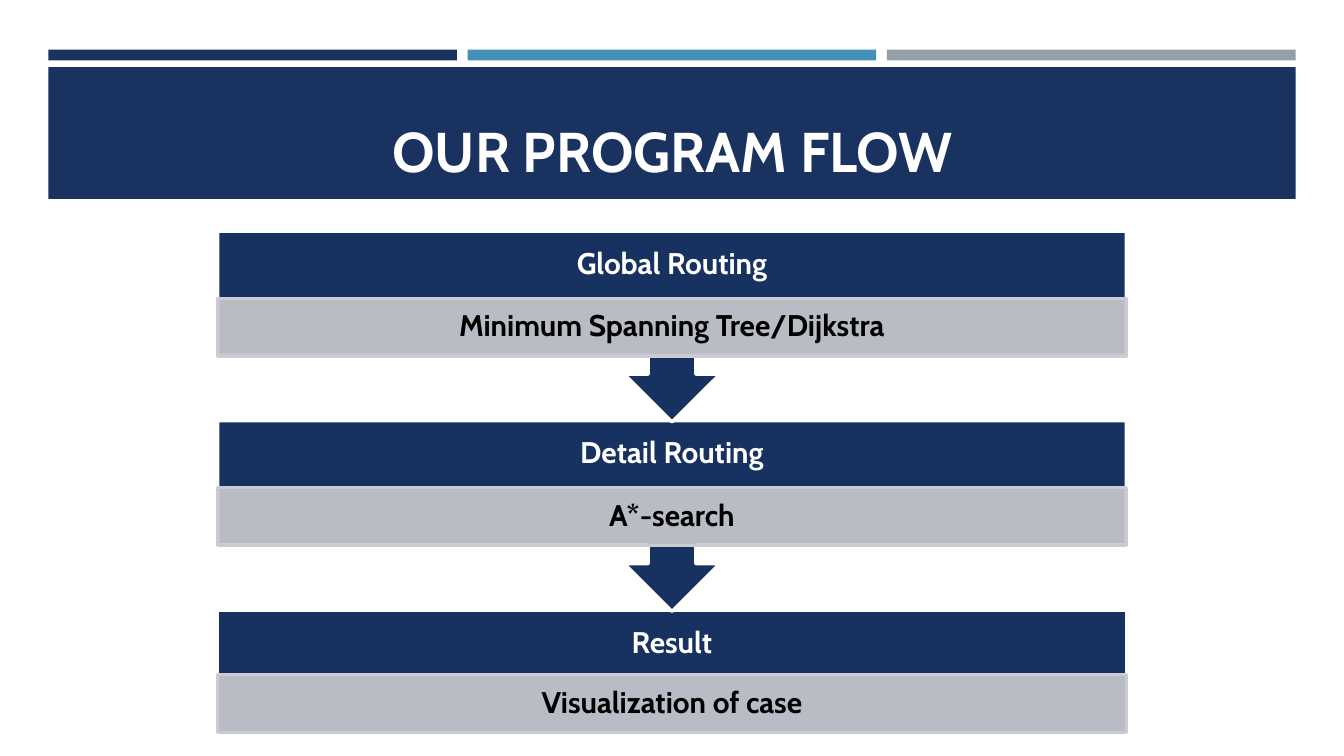
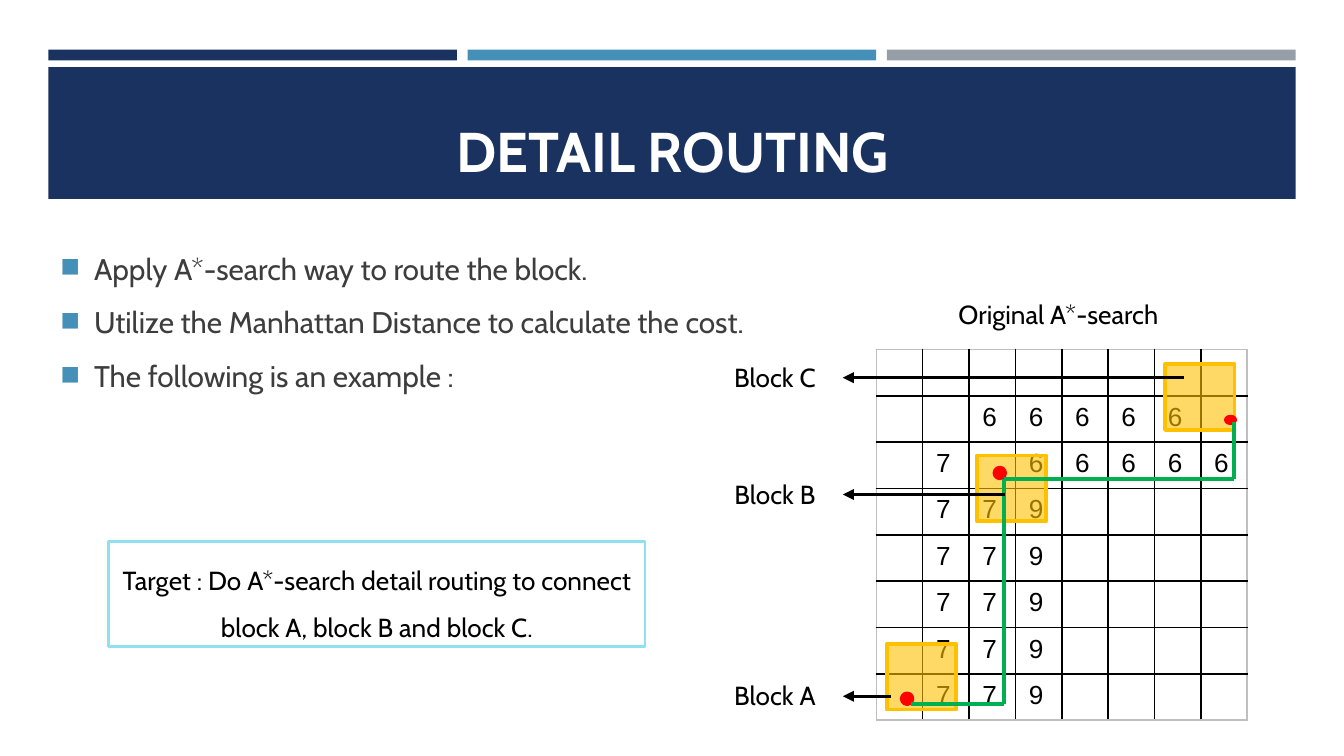
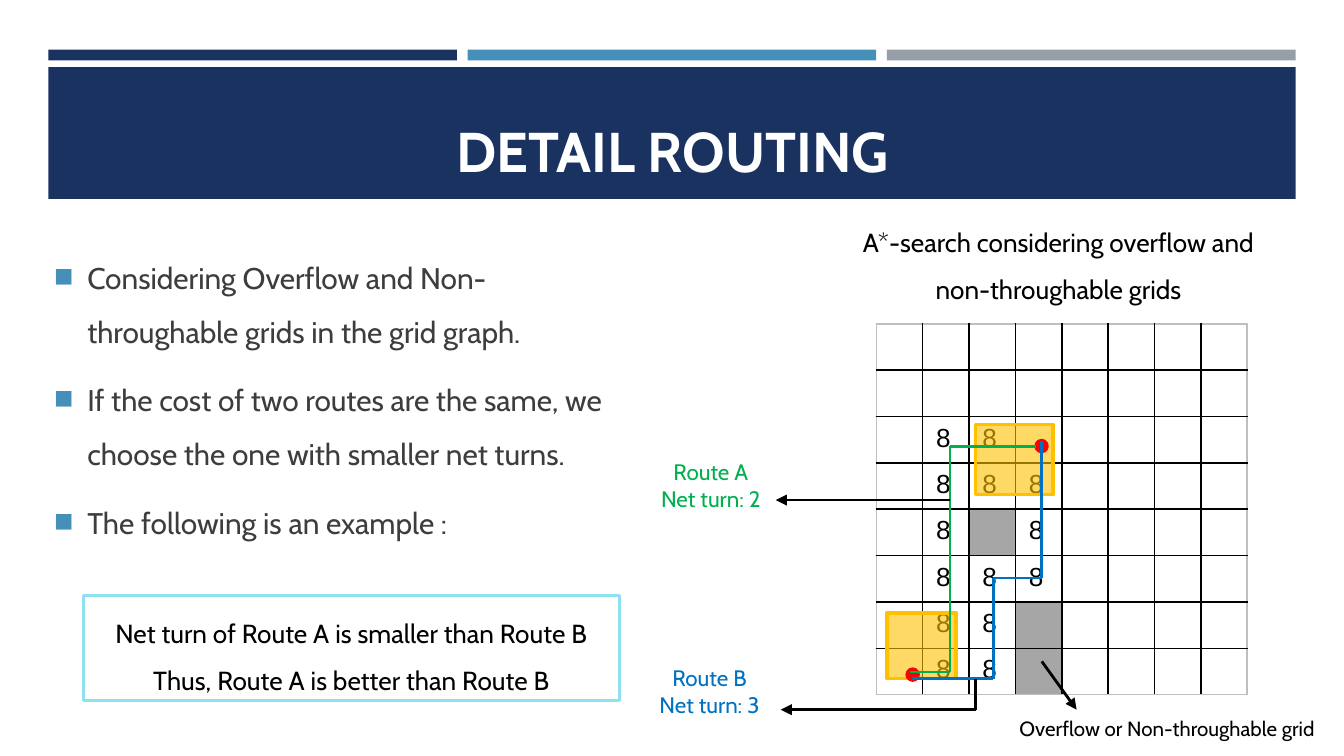
from dataclasses import dataclass
from itertools import pairwise

from lxml.etree import SubElement
from pptx import Presentation
from pptx.dml.color import RGBColor
from pptx.enum.shapes import MSO_CONNECTOR, MSO_SHAPE
from pptx.enum.text import MSO_ANCHOR, PP_ALIGN
from pptx.oxml.ns import qn
from pptx.util import Inches, Pt


@dataclass(frozen=True)
class Theme:
    navy: str = "1A3260"
    step: str = "173160"
    blue: str = "4590B8"
    gray: str = "969FA7"
    pale: str = "CBCCD1"
    aqua: str = "8FE0F1"
    body: str = "3D3D3D"
    white: str = "FFFFFF"
    black: str = "000000"
    amber: str = "FFC000"
    red: str = "FF0000"
    route_green: str = "00B050"
    route_blue: str = "0070C0"
    blocked: str = "A6A6A6"
    grid_edge: str = "BFBFBF"
    font: str = "Cabin"
    digit_font: str = "Arial"
    title_size: int = 30
    body_size: int = 16
    label_size: int = 14
    route_size: int = 12
    note_size: int = 11


THEME = Theme()
WIDTH = 10
HEIGHT = WIDTH * 9 / 16
GRID_LEFT, GRID_COUNT, GRID_SIDE = 6.52, 8, 2.76
CELL = GRID_SIDE / GRID_COUNT


def add_box(page, kind, frame, fill=None, outline=None, weight=1.5, opacity=100):
    """Add a flat preset shape; frame is left, top, width, height in inches."""
    box = page.shapes.add_shape(kind, *map(Inches, frame))
    box.shadow.inherit = False
    if fill:
        box.fill.solid()
        box.fill.fore_color.rgb = RGBColor.from_string(fill)
    else:
        box.fill.background()
    if outline:
        box.line.color.rgb = RGBColor.from_string(outline)
        box.line.width = Pt(weight)
    else:
        box.line.fill.background()
    if opacity < 100:
        color = box.element.spPr.find(qn("a:solidFill"))[0]
        SubElement(color, qn("a:alpha"), val=str(opacity * 1000))
    return box


def write(shape, lines, size, color=THEME.black, bold=None, spacing=None,
          align=PP_ALIGN.CENTER, anchor=MSO_ANCHOR.TOP, font=THEME.font):
    """Fill a shape or cell with one paragraph per line."""
    frame = shape.text_frame
    frame.word_wrap = True
    frame.vertical_anchor = anchor
    for number, line in enumerate(lines):
        para = frame.add_paragraph() if number else frame.paragraphs[0]
        para.alignment = align
        if spacing:
            para.line_spacing = spacing
        span = para.add_run()
        span.text = line
        span.font.name = font
        span.font.size = Pt(size)
        span.font.bold = bold
        span.font.color.rgb = RGBColor.from_string(color)
    return frame


deck = Presentation()
deck.slide_width, deck.slide_height = Inches(WIDTH), Inches(HEIGHT)
layout = deck.slide_layouts[5]
for holder in list(layout.placeholders):
    if holder.placeholder_format.idx:
        holder.element.getparent().remove(holder.element)

pages = []
for title in ("OUR PROGRAM FLOW", "DETAIL ROUTING", "DETAIL ROUTING"):
    page = deck.slides.add_slide(layout)
    heading = page.shapes.title
    heading.left, heading.top, heading.width, heading.height = map(
        Inches, (0.48, 0.58, 9.05, 0.83))
    frame = write(heading, [title], THEME.title_size, THEME.white, True,
                  anchor=MSO_ANCHOR.BOTTOM)
    frame.margin_left = frame.margin_right = Inches(0.07)
    frame.margin_top = frame.margin_bottom = Inches(0.04)
    pages.append(page)
flow_page, *routing_pages = pages

# Bands shared by every slide live on the layout, behind the title
bands = [(0.36, 0.5, 9.28, 0.98, THEME.navy)]
for column, color in enumerate((THEME.navy, THEME.blue, THEME.gray)):
    bands.append((0.36 + column * 3.12, 0.37, 3.04, 0.08, color))
for *place, color in bands:
    band = add_box(flow_page, MSO_SHAPE.RECTANGLE, place, color)
    layout.shapes.element.insert(2, band.element)

# Program flow: each step is a header, a method and an arrow to the next step
STEP_LEFT, STEP_TOP, STEP_WIDTH, STEP_PITCH = 1.62, 1.72, 6.76, 1.41
HEADER_HEIGHT = 0.5
steps = [
    ("Global Routing", "Minimum Spanning Tree/Dijkstra", 1.42, 0.5),
    ("Detail Routing", "A*-search", 1.42, 0.5),
    ("Result", "Visualization of case", 0.93, 0.48),
]
for number, (name, method, height, method_drop) in reversed(list(enumerate(steps))):
    top = STEP_TOP + number * STEP_PITCH
    last = number == len(steps) - 1
    kind = MSO_SHAPE.RECTANGLE if last else MSO_SHAPE.UP_ARROW_CALLOUT
    callout = add_box(flow_page, kind, (STEP_LEFT, top, STEP_WIDTH, height),
                      THEME.step, THEME.white, 1.75)
    callout.rotation = 0 if last else 180
    label = flow_page.shapes.add_textbox(
        *map(Inches, (STEP_LEFT, top, STEP_WIDTH, HEADER_HEIGHT)))
    write(label, [name], THEME.body_size, THEME.white, True, 0.9,
          anchor=MSO_ANCHOR.MIDDLE)
    method_box = add_box(flow_page, MSO_SHAPE.RECTANGLE,
                         (STEP_LEFT, top + method_drop, STEP_WIDTH, 0.43),
                         THEME.pale, THEME.pale, 1.75, 90)
    frame = write(method_box, [method], THEME.body_size, THEME.black, True, 0.9,
                  anchor=MSO_ANCHOR.MIDDLE)
    frame.margin_top = frame.margin_bottom = Inches(0.03)

# Routing examples: blocks, dots, paths and labels are in grid columns and rows
examples = [
    {
        "bullets": ["Apply A*-search way to route the block.",
                    "Utilize the Manhattan Distance to calculate the cost.",
                    "The following is an example :"],
        "bullet_frame": (0.38, 1.33, 9.05, 3.42), "top_inset": 0.4, "gap": 0,
        "remark": ["Target : Do A*-search detail routing to connect "
                   "block A, block B and block C."],
        "remark_at": (0.81, 4.03),
        "grid_top": 2.6,
        "grid": ["........", "..66666.", ".7.66666"] + [".779...."] * 5,
        "blocks": [(0.23, 6.35, 1.5, 1.42), (2.17, 2.29, 1.5, 1.42),
                   (6.23, 0.32, 1.5, 1.42)],
        "dots": [(0.55, 7.42, 0.23, 0.23), (2.55, 2.55, 0.23, 0.23),
                 (7.54, 1.45, 0.2, 0.14)],
        "paths": [(THEME.route_green, 2.25, False,
                   [(0.75, 7.64), (2.76, 7.64), (2.76, 2.79), (7.72, 2.79),
                    (7.72, 1.57)])],
        "labels": [(["Original A*-search"], (0.32, -1.25, 7.22, 1),
                    THEME.label_size, THEME.black, None)],
        "pointers": [("Block A", 0.32, 7.48), ("Block B", 2.78, 3.13),
                     ("Block C", 6.64, 0.61)],
    },
    {
        "bullets": ["Considering Overflow and Non-throughable grids in the grid graph.",
                    "If the cost of two routes are the same, we choose the one "
                    "with smaller net turns.",
                    "The following is an example :"],
        "bullet_frame": (0.33, 1.7, 4.45, 3.42), "top_inset": 0.1, "gap": 8,
        "remark": ["Net turn of Route A is smaller than Route B",
                   "Thus, Route A is better than Route B"],
        "remark_at": (0.62, 4.43),
        "grid_top": 2.41,
        "grid": ["........", "........", ".88.....", ".888....", ".8#8....",
                 ".888....", ".88#....", ".88#...."],
        "blocks": [(0.23, 6.23, 1.5, 1.42), (2.14, 2.17, 1.68, 1.51)],
        "dots": [(0.67, 7.45, 0.23, 0.23), (3.45, 2.52, 0.23, 0.23)],
        "paths": [
            (THEME.route_green, 1.5, False,
             [(0.72, 7.51), (1.59, 7.51), (1.59, 2.64), (3.45, 2.64)]),
            (THEME.route_blue, 1.5, False,
             [(0.78, 7.65), (2.52, 7.65), (2.52, 5.48), (3.57, 5.48),
              (3.57, 2.52)]),
            (THEME.black, 1.5, True, [(1.59, 3.8), (-2.17, 3.8)]),
            (THEME.black, 1.5, True, [(2.14, 7.65), (2.14, 8.32), (-2.06, 8.32)]),
            (THEME.black, 1.5, True, [(3.57, 7.28), (4.32, 8.32)]),
        ],
        "labels": [
            (["A*-search considering overflow and non-throughable grids"],
             (-0.81, -2.58, 9.48, 2.26), THEME.label_size, THEME.black, 1.5),
            (["Route A", "Net turn: 2"], (-5.36, 2.75, 3.59, 1.45),
             THEME.route_size, THEME.route_green, None),
            (["Route B", "Net turn: 3"], (-5.1, 7.19, 3.01, 1.45),
             THEME.route_size, THEME.route_blue, None),
            (["Overflow or Non-throughable grid"], (2.58, 8.32, 7.39, 0.84),
             THEME.note_size, THEME.black, None),
        ],
        "pointers": [],
    },
]

for page, example in zip(routing_pages, examples):
    grid_top = example["grid_top"]

    bullet_box = page.shapes.add_textbox(*map(Inches, example["bullet_frame"]))
    frame = write(bullet_box, example["bullets"], THEME.body_size, THEME.body,
                  spacing=1.5, align=PP_ALIGN.LEFT)
    frame.margin_left = frame.margin_right = Inches(0.07)
    frame.margin_top = Inches(example["top_inset"])
    for number, para in enumerate(frame.paragraphs):
        para.space_before = Pt(example["gap"] if number else 0)
        settings = para._p.get_or_add_pPr()
        settings.set("marL", str(Inches(0.25)))
        settings.set("indent", str(Inches(-0.26)))
        SubElement(SubElement(settings, qn("a:buClr")), qn("a:srgbClr"), val=THEME.blue)
        SubElement(settings, qn("a:buSzPct"), val="80000")
        SubElement(settings, qn("a:buChar"), char="◼")

    side = Inches(GRID_SIDE)
    table = page.shapes.add_table(GRID_COUNT, GRID_COUNT, Inches(GRID_LEFT),
                                  Inches(grid_top), side, side).table
    table.first_row = table.horz_banding = False
    for row, marks in enumerate(example["grid"]):
        for column, mark in enumerate(marks):
            cell = table.cell(row, column)
            if mark == "#":
                cell.fill.solid()
                cell.fill.fore_color.rgb = RGBColor.from_string(THEME.blocked)
            else:
                cell.fill.background()
            if mark.isdigit():
                write(cell, [mark], THEME.label_size, align=PP_ALIGN.LEFT,
                      font=THEME.digit_font)
            else:
                SubElement(cell.text_frame.paragraphs[0]._p, qn("a:endParaRPr"),
                           sz=str(THEME.label_size * 100))
            end = GRID_COUNT - 1
            sides = (("L", column == 0), ("R", column == end),
                     ("T", row == 0), ("B", row == end))
            settings = cell._tc.get_or_add_tcPr()
            for position, (letter, outer) in enumerate(sides):
                border = SubElement(settings, qn(f"a:ln{letter}"), w=str(Pt(1)))
                paint = SubElement(border, qn("a:solidFill"))
                SubElement(paint, qn("a:srgbClr"),
                           val=THEME.grid_edge if outer else THEME.black)
                settings.insert(position, border)

    marks = [(MSO_SHAPE.RECTANGLE, THEME.amber, 60, place) for place in example["blocks"]]
    marks += [(MSO_SHAPE.OVAL, THEME.red, 100, place) for place in example["dots"]]
    for kind, color, opacity, (column, row, width, height) in marks:
        add_box(page, kind,
                (GRID_LEFT + column * CELL, grid_top + row * CELL,
                 width * CELL, height * CELL), color, color, 2, opacity)

    labels = list(example["labels"])
    paths = [(*path, None) for path in example["paths"]]
    for name, column, row in example["pointers"]:
        labels.append(([name], (-3.65, row - 0.5, 2.93, 1),
                       THEME.label_size, THEME.black, None))
        paths.append((THEME.black, 1.5, True, [(column, row), (-0.72, row)], name))

    label_boxes = {}
    for lines, (column, row, width, height), size, color, spacing in labels:
        label = page.shapes.add_textbox(
            Inches(GRID_LEFT + column * CELL), Inches(grid_top + row * CELL),
            Inches(width * CELL), Inches(height * CELL))
        write(label, lines, size, color, spacing=spacing)
        label_boxes[lines[0]] = label

    for color, weight, arrow, points, target in paths:
        for start, finish in pairwise(points):
            ends = [Inches(origin + count * CELL) for point in (start, finish)
                    for origin, count in zip((GRID_LEFT, grid_top), point)]
            segment = page.shapes.add_connector(MSO_CONNECTOR.STRAIGHT, *ends)
            segment.line.color.rgb = RGBColor.from_string(color)
            segment.line.width = Pt(weight)
            if arrow and finish == points[-1]:
                SubElement(segment.line._get_or_add_ln(), qn("a:tailEnd"), type="triangle")
            SubElement(segment.element.spPr, qn("a:effectLst"))
            if target:
                segment.end_connect(label_boxes[target], 3)

    remark = add_box(page, MSO_SHAPE.RECTANGLE, (*example["remark_at"], 3.99, 0.78),
                     outline=THEME.aqua)
    write(remark, example["remark"], THEME.label_size, spacing=1.5)

deck.save("out.pptx")
